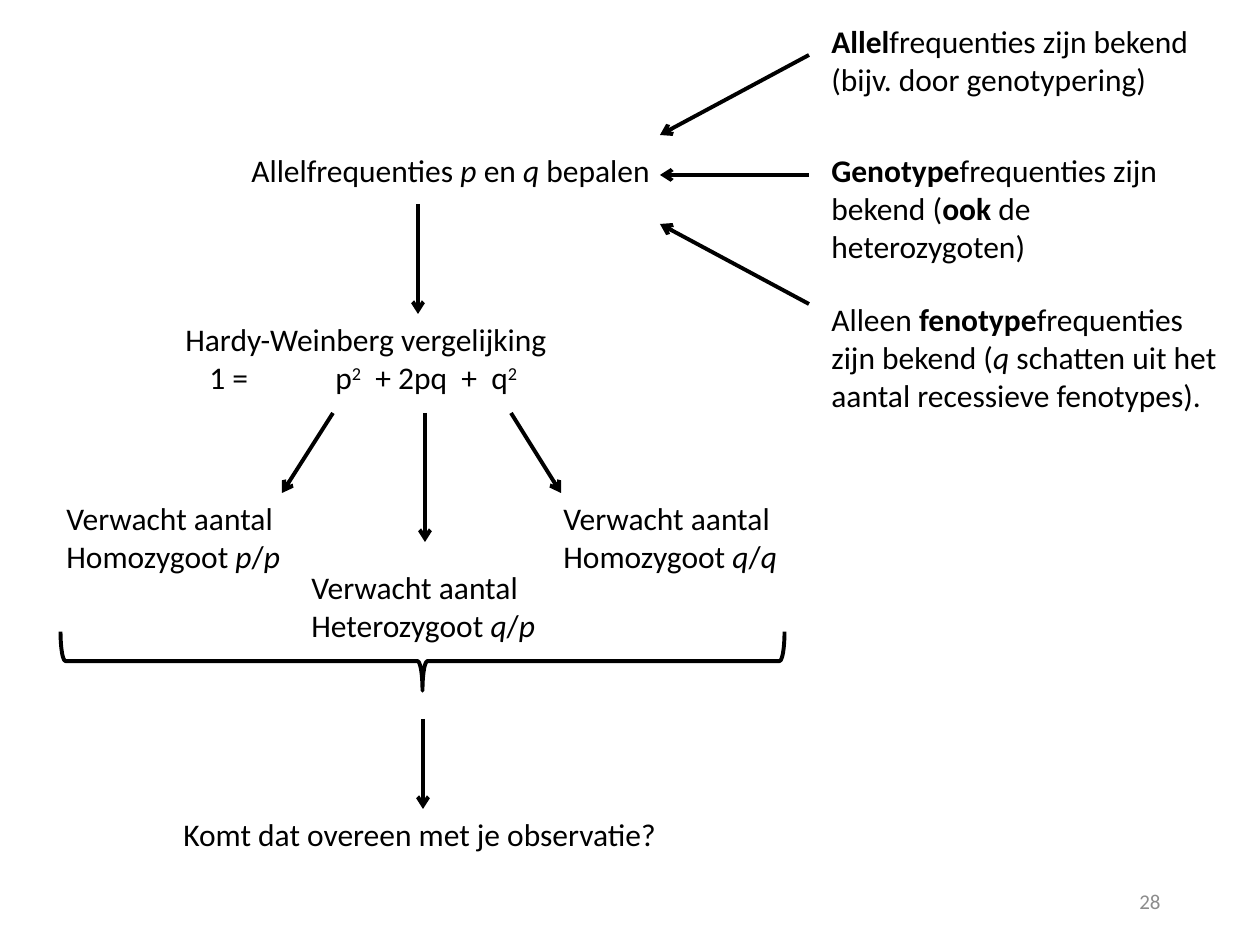
from lxml.etree import SubElement
from pptx import Presentation
from pptx.dml.color import RGBColor
from pptx.enum.shapes import MSO_CONNECTOR, MSO_SHAPE
from pptx.enum.text import MSO_ANCHOR, MSO_AUTO_SIZE, PP_ALIGN
from pptx.oxml.ns import qn
from pptx.util import Inches, Pt

BLACK = RGBColor(0, 0, 0)
GRAY = RGBColor(0x8C, 0x8C, 0x8C)
PX = Inches(1) / 126


def px(n):
    return round(n * PX)


def add_text(box, paras, wrap=False, size=18, color=BLACK):
    """Each paragraph is a list of (text, style); style is b, i, ^ or empty."""
    shape = slide.shapes.add_textbox(*map(px, box))
    frame = shape.text_frame
    frame.word_wrap = wrap
    frame.auto_size = MSO_AUTO_SIZE.SHAPE_TO_FIT_TEXT
    for n, runs in enumerate(paras):
        para = frame.add_paragraph() if n else frame.paragraphs[0]
        for text, style in runs:
            run = para.add_run()
            run.text = text
            if style == "b":
                run.font.bold = True
            elif style == "i":
                run.font.italic = True
            elif style == "^":
                run._r.get_or_add_rPr().set("baseline", "30000")
        if any("\t" in text for text, _ in runs):
            tabs = SubElement(para._p.get_or_add_pPr(), qn("a:tabLst"))
            for stop in STOPS:
                SubElement(tabs, qn("a:tab"), pos=str(px(stop)), algn="l")
        para.font.name = "Calibri"
        para.font.size = Pt(size)
        para.font.color.rgb = color
    return frame


prs = Presentation()
prs.slide_width, prs.slide_height = px(1260), px(945)
slide = prs.slides.add_slide(prs.slide_layouts[6])

# Steps from allele frequencies to the final question
add_text((239, 145, 430, 50), [
    [("Allelfrequenties ", ""), ("p", "i"), (" en ", ""), ("q", "i"),
     (" bepalen", "")]])

STOPS = (27, 153, 193, 279, 309)  # columns of the equation
law = add_text((170, 314, 392, 89), [
    [("Hardy-Weinberg vergelijking", "")],
    [("\t1 =\tp", ""), ("2", "^"), ("\t+ 2pq\t+\tq", ""), ("2", "^")]])
law.paragraphs[0].alignment = PP_ALIGN.CENTER

add_text((171, 809, 504, 50), [[("Komt dat overeen met je observatie?", "")]])

# Expected counts per genotype
for x, y, w, kind, one, two in (
    (54, 493, 242, "Homozygoot ", "p", "p"),
    (551, 493, 242, "Homozygoot ", "q", "q"),
    (299, 562, 252, "Heterozygoot ", "q", "p"),
):
    add_text((x, y, w, 89), [
        [("Verwacht aantal", "")],
        [(kind, ""), (one, "i"), ("/", ""), (two, "i")]])

# Known starting points on the right
add_text((819, 16, 413, 89), [
    [("Allel", "b"), ("frequenties zijn bekend", "")],
    [("(bijv. door genotypering)", "")]], wrap=True)
add_text((819, 145, 417, 127), [
    [("Genotype", "b"), ("frequenties zijn bekend (", ""), ("ook", "b"),
     (" de heterozygoten)", "")]], wrap=True)
add_text((819, 294, 413, 127), [
    [("Alleen ", ""), ("fenotype", "b"), ("frequenties zijn bekend (", ""),
     ("q", "i"), (" schatten uit het aantal recessieve fenotypes).", "")]],
    wrap=True)

# Arrows
for ends in (
    (809, 55, 660, 135), (809, 175, 660, 175), (809, 304, 660, 224),
    (418, 204, 418, 314),
    (333, 413, 282, 493), (425, 413, 425, 542), (511, 413, 561, 493),
    (423, 719, 423, 809),
):
    line = slide.shapes.add_connector(MSO_CONNECTOR.STRAIGHT, *map(px, ends))
    line.line.color.rgb = BLACK
    line.line.width = Pt(2.25)
    SubElement(line.line._get_or_add_ln(), qn("a:tailEnd"), type="arrow")
    SubElement(line._element.spPr, qn("a:effectLst"))

# Brace under the expected counts
brace = slide.shapes.add_shape(
    MSO_SHAPE.LEFT_BRACE, px(393), px(299), px(59), px(724))
brace.rotation = 270
brace.shadow.inherit = False
brace.fill.background()
brace.line.color.rgb = BLACK
brace.line.width = Pt(2.25)

# Slide number
page = add_text((890, 876, 283, 50), [[("28", "")]], True, 12, GRAY)
page.auto_size = MSO_AUTO_SIZE.NONE
page.vertical_anchor = MSO_ANCHOR.MIDDLE
page.paragraphs[0].alignment = PP_ALIGN.RIGHT

prs.save("out.pptx")
